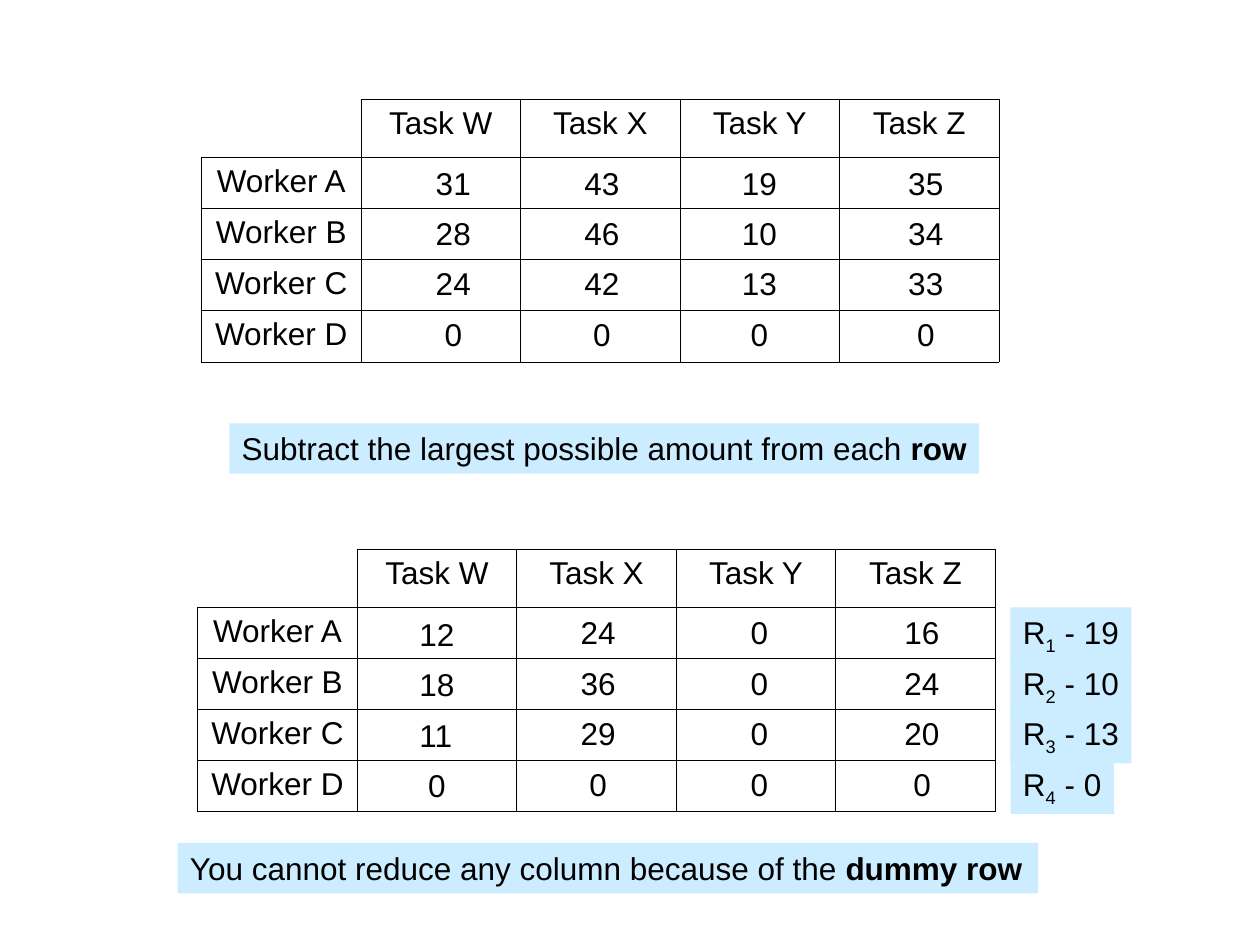
"""Build the slide on row reduction of a worker and task assignment matrix."""
from lxml import etree
from pptx import Presentation
from pptx.dml.color import RGBColor
from pptx.enum.shapes import MSO_SHAPE
from pptx.enum.text import MSO_ANCHOR, MSO_AUTO_SIZE, PP_ALIGN
from pptx.oxml.ns import qn
from pptx.util import Inches, Pt

RECTANGLE = MSO_SHAPE.RECTANGLE
TOP = MSO_ANCHOR.TOP
NO_AUTO_SIZE = MSO_AUTO_SIZE.NONE
LEFT, CENTER = PP_ALIGN.LEFT, PP_ALIGN.CENTER

COLORS = {"text": "000000", "border": "000000", "highlight": "CCECFF"}
FONT, FONT_SIZE = "Arial", 18
SLIDE_WIDTH, SLIDE_HEIGHT = 10, 7.5

TASKS = ["Task W", "Task X", "Task Y", "Task Z"]
WORKERS = ["Worker A", "Worker B", "Worker C", "Worker D"]
MATRICES = [
    {
        "corner": (1.6, 0.79),
        "centers": [3.6, 4.78, 6.03, 7.35],
        "tops": [1.25] * 4,
        "values": [[31, 43, 19, 35], [28, 46, 10, 34], [24, 42, 13, 33], [0, 0, 0, 0]],
    },
    {
        "corner": (1.57, 4.36),
        "centers": [3.47, 4.75, 6.03, 7.32],
        "tops": [4.83, 4.82, 4.82, 4.82],
        "values": [[12, 24, 0, 16], [18, 36, 0, 24], [11, 29, 0, 20], [0, 0, 0, 0]],
    },
]
CAPTIONS = [
    ((1.82, 3.36, 5.95), [("Subtract the largest possible amount from each ", ""), ("row", "bold")]),
    ((1.41, 6.69, 6.83), [("You cannot reduce any column because of the", ""), (" dummy row", "bold")]),
]
REDUCTIONS = [19, 10, 13, 0]

TABLE_WIDTH, TABLE_HEIGHT = 6.33, 2.07
HEADER_HEIGHT = 0.46
ROW_HEIGHT = (TABLE_HEIGHT - HEADER_HEIGHT) / len(WORKERS)
VALUE_STEP = 0.4
BOX_HEIGHT, REDUCTION_HEIGHT = 0.4, 0.44
REDUCTION_LEFT, REDUCTION_TOP = 8.02, 4.82
DIGIT_WIDTH, BOX_PADDING = 0.14, 0.2
BORDER_WIDTH = 0.45


def write_text(text_frame, runs, align=LEFT, size=FONT_SIZE, color="text"):
    """Write (text, style) runs into the first paragraph of a frame."""
    paragraph = text_frame.paragraphs[0]
    paragraph.alignment = align
    for text, style in runs:
        run = paragraph.add_run()
        run.text = text
        run.font.name = FONT
        run.font.size = Pt(size)
        run.font.color.rgb = RGBColor.from_string(COLORS[color])
        if style == "bold":
            run.font.bold = True
        elif style == "subscript":
            run.font._element.set("baseline", "-25000")


def add_box(slide, box, runs, fill=None, align=LEFT):
    """Add a one-line text box, or a filled rectangle when a fill is named."""
    bounds = [Inches(length) for length in box]
    if fill:
        shape = slide.shapes.add_shape(RECTANGLE, *bounds)
        shape.shadow.inherit = False
        shape.fill.solid()
        shape.fill.fore_color.rgb = RGBColor.from_string(COLORS[fill])
        shape.line.fill.background()
    else:
        shape = slide.shapes.add_textbox(*bounds)
    text_frame = shape.text_frame
    text_frame.word_wrap = False
    text_frame.auto_size = NO_AUTO_SIZE
    text_frame.vertical_anchor = TOP
    write_text(text_frame, runs, align=align)


def set_borders(cell, hidden=()):
    """Draw the four cell borders, leaving out the hidden sides."""
    properties = cell._tc.get_or_add_tcPr()
    for position, side in enumerate(("lnL", "lnR", "lnT", "lnB")):
        line = etree.Element(qn(f"a:{side}"), w=str(Pt(BORDER_WIDTH)))
        if side in hidden:
            etree.SubElement(line, qn("a:noFill"))
        else:
            fill = etree.SubElement(line, qn("a:solidFill"))
            etree.SubElement(fill, qn("a:srgbClr"), val=COLORS["border"])
        properties.insert(position, line)


def add_matrix(slide, corner, centers, tops, values):
    """Add the labelled grid and set its values over the cells."""
    row_count, column_count = len(WORKERS) + 1, len(TASKS) + 1
    bounds = [Inches(length) for length in (*corner, TABLE_WIDTH, TABLE_HEIGHT)]
    table = slide.shapes.add_table(row_count, column_count, *bounds).table
    table.first_row = table.horz_banding = False
    labels = {(0, column): task for column, task in enumerate(TASKS, 1)}
    labels.update({(row, 0): worker for row, worker in enumerate(WORKERS, 1)})
    for row in range(row_count):
        table.rows[row].height = Inches(ROW_HEIGHT if row else HEADER_HEIGHT)
        for column in range(column_count):
            cell = table.cell(row, column)
            cell.fill.background()
            set_borders(cell, hidden=() if row or column else ("lnL", "lnT"))
            if (row, column) in labels:
                write_text(cell.text_frame, [(labels[row, column], "")], align=CENTER)
    for row, row_values in enumerate(values):
        for value, center, top in zip(row_values, centers, tops):
            width = BOX_PADDING + DIGIT_WIDTH * len(str(value))
            box = (center - width / 2, top + row * VALUE_STEP, width, BOX_HEIGHT)
            add_box(slide, box, [(str(value), "")])


def main():
    """Build and save the presentation."""
    presentation = Presentation()
    presentation.slide_width = Inches(SLIDE_WIDTH)
    presentation.slide_height = Inches(SLIDE_HEIGHT)
    slide = presentation.slides.add_slide(presentation.slide_layouts[6])
    for matrix in MATRICES:
        add_matrix(slide, **matrix)
    for index, amount in enumerate(REDUCTIONS):
        width = 0.68 + DIGIT_WIDTH * len(str(amount))
        box = (REDUCTION_LEFT, REDUCTION_TOP + index * VALUE_STEP, width, REDUCTION_HEIGHT)
        runs = [("R", ""), (str(index + 1), "subscript"), (f" - {amount}", "")]
        add_box(slide, box, runs, fill="highlight")
    for (left, top, width), runs in CAPTIONS:
        add_box(slide, (left, top, width, BOX_HEIGHT), runs, fill="highlight")
    presentation.save("out.pptx")


if __name__ == "__main__":
    main()
